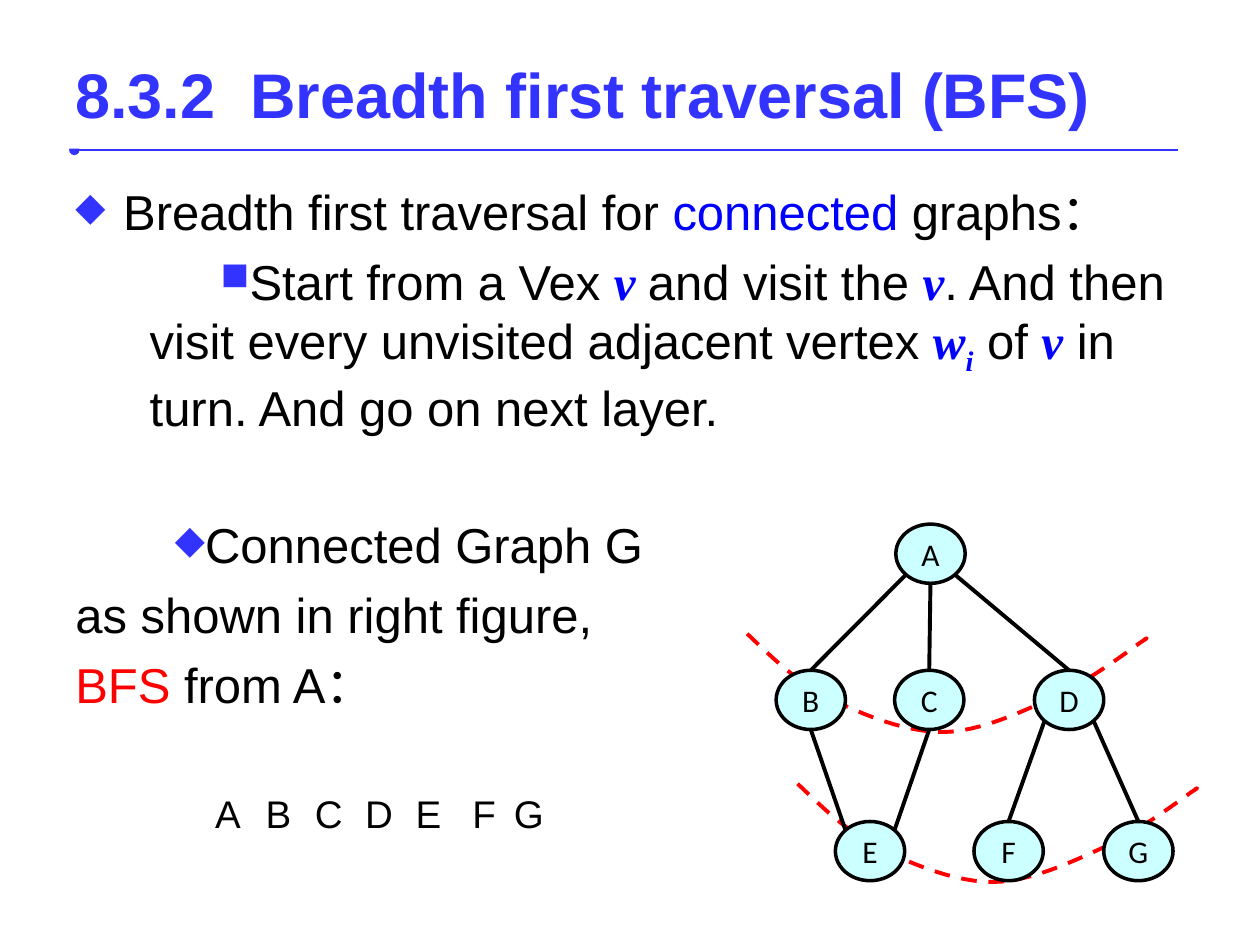
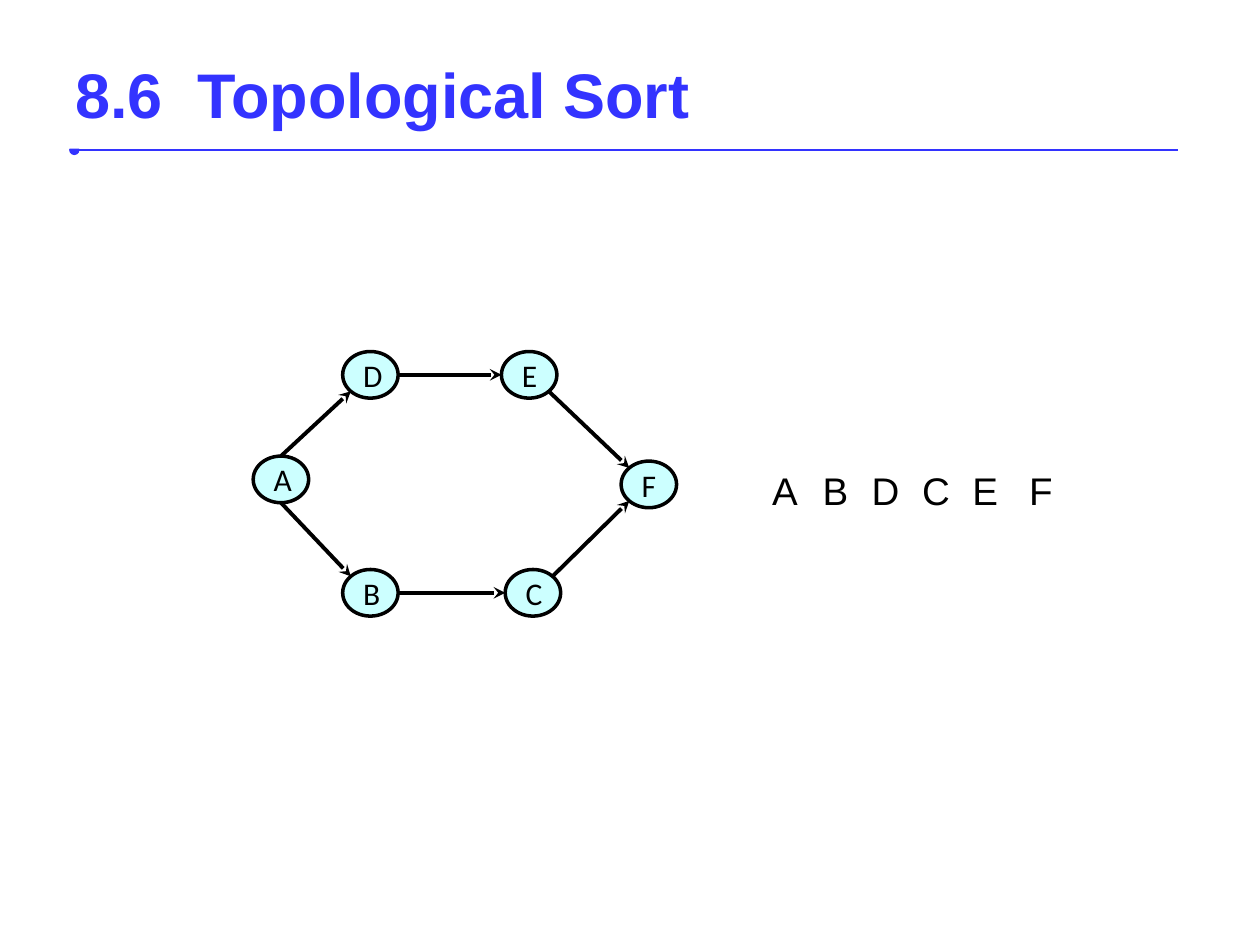
from math import comb, sqrt

from lxml import etree
from pptx import Presentation
from pptx.dml.color import RGBColor as Rgb
from pptx.enum.dml import MSO_LINE
from pptx.enum.shapes import MSO_CONNECTOR as Conn, MSO_SHAPE as Kind
from pptx.enum.text import MSO_ANCHOR as Anchor, MSO_AUTO_SIZE as Auto, PP_ALIGN as Align
from pptx.oxml.ns import qn
from pptx.util import Inches, Pt

VIOLET = Rgb(0x33, 0x33, 0xFF)
BLUE = Rgb(0x00, 0x00, 0xFF)
RED = Rgb(0xFF, 0x00, 0x00)
CYAN = Rgb(0xCC, 0xFF, 0xFF)
BLACK = Rgb(0, 0, 0)
WHITE = Rgb(0xFF, 0xFF, 0xFF)


def add_line(slide, start, end, color, width, tip=None, style=None):
    ends = [Inches(v) for v in (*start, *end)]
    line = slide.shapes.add_connector(Conn.STRAIGHT, *ends)
    line.line.color.rgb = color
    line.line.width = Pt(width)
    props = line.element.spPr
    if tip:
        etree.SubElement(props.find(qn("a:ln")), qn(tip), type=style)
    etree.SubElement(props, qn("a:effectLst"))


def set_font(font, size, color, name="Arial", bold=False):
    font.size = Pt(size)
    font.color.rgb = color
    font.name = name
    font.bold = bold


deck = Presentation()
deck.slide_width = Inches(10)
deck.slide_height = Inches(7.5)

for title in ("8.3.2  Breadth first traversal (BFS)", "8.6  Topological Sort"):
    slide = deck.slides.add_slide(deck.slide_layouts[6])
    add_line(slide, (0.59, 1.19), (9.35, 1.19), VIOLET, 1.5, "a:headEnd", "oval")
    box = slide.shapes.add_textbox(Inches(0.5), Inches(0.3), Inches(9), Inches(0.88))
    box.fill.solid()
    box.fill.fore_color.rgb = WHITE
    frame = box.text_frame
    frame.word_wrap = True
    frame.vertical_anchor = Anchor.MIDDLE
    para = frame.paragraphs[0]
    para.text = title
    set_font(para.font, 36, VIOLET, bold=True)

first, second = deck.slides

# Each entry: left margin, first-line indent, space before, bullet, runs
body = [
    (0.38, -0.38, 6.4, "◆", [("Breadth first traversal for ", BLACK), ("connected", BLUE),
                             (" graphs：", BLACK)]),
    (0.59, 0.56, 6.4, "■", [("Start from a Vex ", BLACK), ("v ", "math"),
                            ("and visit the ", BLACK), ("v", "math"),
                            (". And then visit every unvisited adjacent vertex ", BLACK),
                            ("w", "math"), ("i", "sub"), (" of ", BLACK), ("v", "math"),
                            (" in turn. And go on next layer.", BLACK)]),
    (0, 0.79, 45, "◆", [("Connected Graph G", BLACK)]),
    (0, 0, 6.4, None, [("as shown in right figure,", BLACK)]),
    (0, 0, 6.4, None, [("BFS", RED), (" from A：", BLACK)]),
]
frame = first.shapes.add_textbox(Inches(0.5), Inches(1.39), Inches(9), Inches(5.31)).text_frame
frame.word_wrap = True
for i, (left, indent, gap, mark, runs) in enumerate(body):
    para = frame.add_paragraph() if i else frame.paragraphs[0]
    para.space_before = Pt(gap)
    props = para._p.get_or_add_pPr()
    props.set("marL", str(Inches(left)))
    props.set("indent", str(Inches(indent)))
    if mark:
        tint = etree.SubElement(props, qn("a:buClr"))
        etree.SubElement(tint, qn("a:srgbClr"), val=str(VIOLET))
        etree.SubElement(props, qn("a:buSzPct"), val="80000")
        etree.SubElement(props, qn("a:buChar"), char=mark)
    for text, look in runs:
        run = para.add_run()
        run.text = text
        if look in ("math", "sub"):
            set_font(run.font, 28, BLUE, "Times New Roman", True)
            run.font.italic = True
        else:
            set_font(run.font, 28, look)
        if look == "sub":
            run._r.get_or_add_rPr().set("baseline", "-25000")

wave = [(0, 0), (0.2, 0.19), (0.39, 0.38), (0.65, 0.51), (0.91, 0.64), (1.25, 0.78),
        (1.55, 0.78), (1.84, 0.78), (2.18, 0.62), (2.44, 0.5), (2.7, 0.38), (3.01, 0.15),
        (3.12, 0.07), (3.23, 0), (3.13, 0.06), (3.12, 0.06)]
steps = 12
for left, top in ((6.33, 6.22), (5.93, 5.03)):
    dots = []
    for k in range(0, len(wave) - 1, 3):
        for n in range(1, steps + 1):
            t = n / steps
            part = [comb(3, j) * t**j * (1 - t) ** (3 - j) for j in range(4)]
            dots.append([Inches(base + sum(w * p[axis] for w, p in zip(part, wave[k:k + 4])))
                         for axis, base in enumerate((left, top))])
    pen = first.shapes.build_freeform(Inches(left), Inches(top))
    pen.add_line_segments(dots, close=False)
    curve = pen.convert_to_shape()
    curve.shadow.inherit = False
    curve.fill.background()
    curve.line.color.rgb = RED
    curve.line.width = Pt(2.25)
    curve.line.dash_style = MSO_LINE.DASH

diag = 1 / sqrt(2)
sides = {"n": (0, -1), "s": (0, 1), "w": (-1, 0), "e": (1, 0), "nw": (-diag, -diag),
         "ne": (diag, -diag), "sw": (-diag, diag), "se": (diag, diag)}

tree = {"A": (7.11, 4.16), "B": (6.16, 5.32), "C": (7.1, 5.32), "D": (8.21, 5.32),
        "E": (6.63, 6.52), "F": (7.73, 6.52), "G": (8.76, 6.52)}
twigs = ["A se D n", "A sw B n", "A s C n", "B s E nw", "C s E ne", "D sw F n", "D se G n"]
ring = {"A": (2.01, 3.62), "B": (2.72, 4.52), "C": (4.01, 4.52), "D": (2.72, 2.79),
        "E": (3.98, 2.79), "F": (4.93, 3.66)}
arcs = ["A n D sw", "A s B nw", "D e E w", "B e C w", "E se F nw", "C ne F sw"]
graphs = [
    (first, tree, twigs, (0.55, 0.47), None, "ABCDEFG", (1.61, 6.22)),
    (second, ring, arcs, (0.44, 0.37), "a:tailEnd", "ABDCEF", (6.03, 3.66)),
]
shifts = (0, 0.4, 0.79, 1.19, 1.59, 2.04, 2.37)

for slide, nodes, edges, (wide, high), tip, order, (left, top) in graphs:
    for edge in edges:
        a, out, b, into = edge.split()
        ends = []
        for node, side in ((a, out), (b, into)):
            x, y = nodes[node]
            dx, dy = sides[side]
            ends.append((x + wide / 2 * (1 + dx), y + high / 2 * (1 + dy)))
        add_line(slide, *ends, BLACK, 2.25, tip, "stealth")
    for name, (x, y) in nodes.items():
        oval = slide.shapes.add_shape(Kind.OVAL, Inches(x), Inches(y), Inches(wide), Inches(high))
        oval.shadow.inherit = False
        oval.fill.solid()
        oval.fill.fore_color.rgb = CYAN
        oval.line.color.rgb = BLACK
        oval.line.width = Pt(2)
        oval.text_frame.vertical_anchor = Anchor.MIDDLE
        para = oval.text_frame.paragraphs[0]
        para.text = name
        para.alignment = Align.CENTER
        set_font(para.font, 18, BLACK, "Calibri")
    for name, shift in zip(order, shifts):
        box = slide.shapes.add_textbox(Inches(left + shift), Inches(top), Inches(0.24), Inches(0.47))
        box.text_frame.word_wrap = True
        box.text_frame.auto_size = Auto.SHAPE_TO_FIT_TEXT
        para = box.text_frame.paragraphs[0]
        para.text = name
        set_font(para.font, 22, BLACK)

deck.save("out.pptx")
